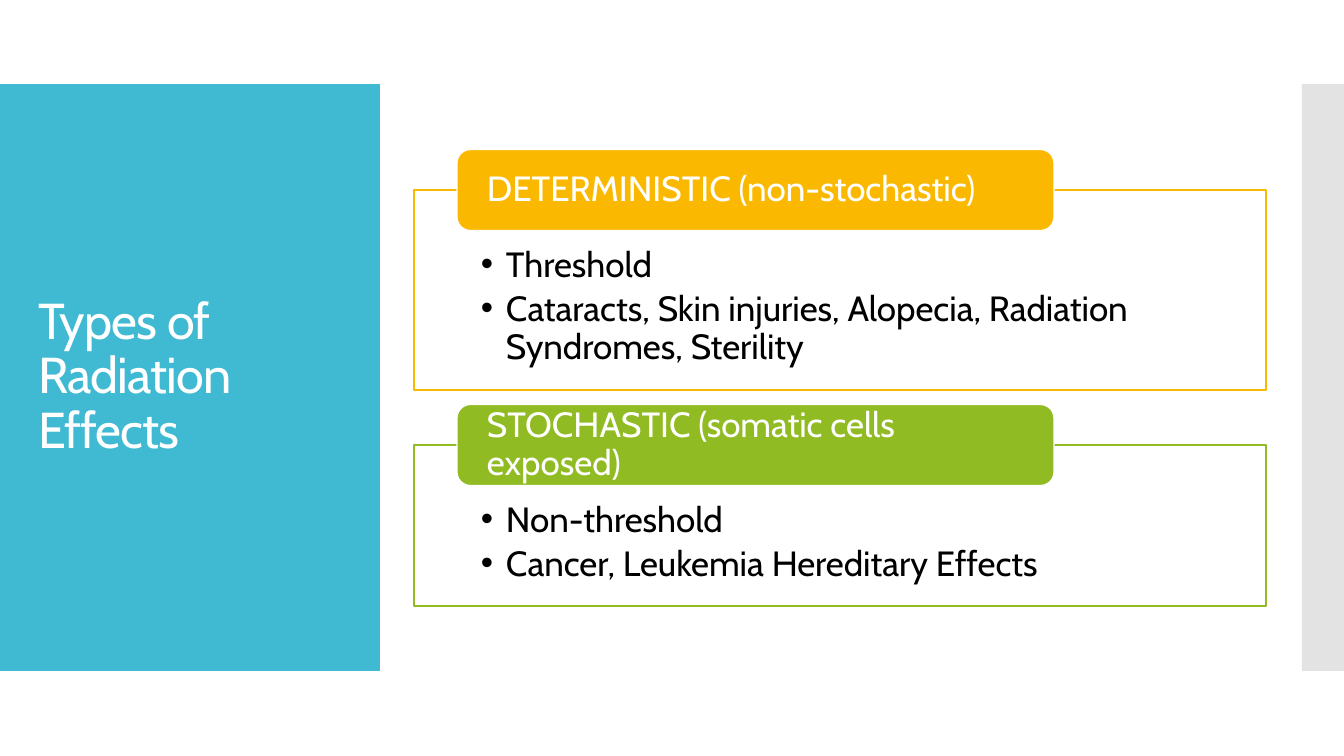
from dataclasses import dataclass

import pptx
import pptx.dml.color
import pptx.enum.shapes
import pptx.enum.text
import pptx.util
from lxml import etree
from pptx.oxml.ns import qn

TITLE = "Types of Radiation Effects"
EFFECTS = [
    {"heading": "DETERMINISTIC (non-stochastic)", "color": "FAB900",
     "points": ["Threshold",
                "Cataracts, Skin injuries, Alopecia, Radiation Syndromes, Sterility"],
     "top": 190, "height": 200},
    {"heading": "STOCHASTIC (somatic cells exposed)", "color": "90BB23",
     "points": ["Non-threshold", "Cancer, Leukemia Hereditary Effects"],
     "top": 445, "height": 161},
]


@dataclass(frozen=True)
class Theme:
    font: str = "Cabin"
    title_size: float = 36
    text_size: float = 25
    line_width: float = 0.85
    white: str = "FFFFFF"
    black: str = "000000"
    sidebar: str = "40BAD2"
    edge: str = "E3E3E3"


THEME = Theme()
SLIDE_W, SLIDE_H = 1344, 756
BAND_TOP, BAND_H = 84, 587
SIDEBAR_W, EDGE_W = 380, 42
PANEL_LEFT, PANEL_W = 414, 852
TAB_LEFT, TAB_W, TAB_H = 457, 597, 81
BULLET_INDENT = 25


def px(length):
    return pptx.util.Emu(round(length * 914400 / 100.8))


def rgb(code):
    return pptx.dml.color.RGBColor.from_string(code)


def place(shape, left, top, width, height):
    shape.left, shape.top = px(left), px(top)
    shape.width, shape.height = px(width), px(height)


def paint(shape, fill, line=None):
    shape.fill.solid()
    shape.fill.fore_color.rgb = rgb(fill)
    if line:
        shape.line.color.rgb = rgb(line)
        shape.line.width = pptx.util.Pt(THEME.line_width)
    else:
        shape.line.fill.background()


def add_block(slide, kind, box, fill, line=None):
    block = slide.shapes.add_shape(kind, *map(px, box))
    block.shadow.inherit = False
    paint(block, fill, line)
    return block


def set_frame(frame, insets, anchor):
    frame.word_wrap = True
    frame.auto_size = pptx.enum.text.MSO_AUTO_SIZE.NONE
    frame.vertical_anchor = anchor
    (frame.margin_left, frame.margin_top,
     frame.margin_right, frame.margin_bottom) = map(px, insets)


def style(paragraph, size, color, space_after=0):
    paragraph.alignment = pptx.enum.text.PP_ALIGN.LEFT
    paragraph.line_spacing = 0.9
    paragraph.space_before = pptx.util.Pt(0)
    paragraph.space_after = pptx.util.Pt(space_after)
    paragraph.font.name = THEME.font
    paragraph.font.size = pptx.util.Pt(size)
    paragraph.font.color.rgb = rgb(color)


def add_bullet(paragraph):
    properties = paragraph._p.get_or_add_pPr()
    properties.set("marL", str(px(BULLET_INDENT)))
    properties.set("indent", str(-px(BULLET_INDENT)))
    etree.SubElement(properties, qn("a:buChar")).set("char", "•")


def fill_title(title):
    place(title, 28, 124, 325, 507)
    set_frame(title.text_frame, (10, 5, 10, 5), pptx.enum.text.MSO_ANCHOR.MIDDLE)
    title.text_frame.text = TITLE
    heading = title.text_frame.paragraphs[0]
    style(heading, THEME.title_size, THEME.white)
    heading.runs[0]._r.get_or_add_rPr().set("spc", "-60")


def fill_panel(panel, effect):
    place(panel, PANEL_LEFT, effect["top"], PANEL_W, effect["height"])
    paint(panel, THEME.white, effect["color"])
    set_frame(panel.text_frame, (67, 57, 67, 19), pptx.enum.text.MSO_ANCHOR.TOP)
    panel.text_frame.text = "\n".join(effect["points"])
    for point in panel.text_frame.paragraphs:
        add_bullet(point)
        style(point, THEME.text_size, THEME.black, space_after=4.5)


def add_tab(slide, effect):
    """Put the heading tab astride the top edge of its panel."""
    box = (TAB_LEFT, effect["top"] - TAB_H / 2, TAB_W, TAB_H)
    tab = add_block(slide, pptx.enum.shapes.MSO_SHAPE.ROUNDED_RECTANGLE, box,
                    effect["color"], THEME.white)
    set_frame(tab.text_frame, (26, 0, 26, 0), pptx.enum.text.MSO_ANCHOR.MIDDLE)
    tab.text_frame.text = effect["heading"]
    style(tab.text_frame.paragraphs[0], THEME.text_size, THEME.white)


def main():
    deck = pptx.Presentation()
    deck.slide_width, deck.slide_height = px(SLIDE_W), px(SLIDE_H)
    slide = deck.slides.add_slide(deck.slide_layouts.get_by_name("Two Content"))

    title, *panels = [p for p in slide.placeholders if p.placeholder_format.idx < 3]
    for left, width, color in [(0, SIDEBAR_W, THEME.sidebar),
                               (SLIDE_W - EDGE_W, EDGE_W, THEME.edge)]:
        band = add_block(slide, pptx.enum.shapes.MSO_SHAPE.RECTANGLE,
                         (left, BAND_TOP, width, BAND_H), color)
        title._element.addprevious(band._element)

    fill_title(title)
    for panel, effect in zip(panels, EFFECTS):
        fill_panel(panel, effect)
        add_tab(slide, effect)
    deck.save("out.pptx")


if __name__ == "__main__":
    main()
